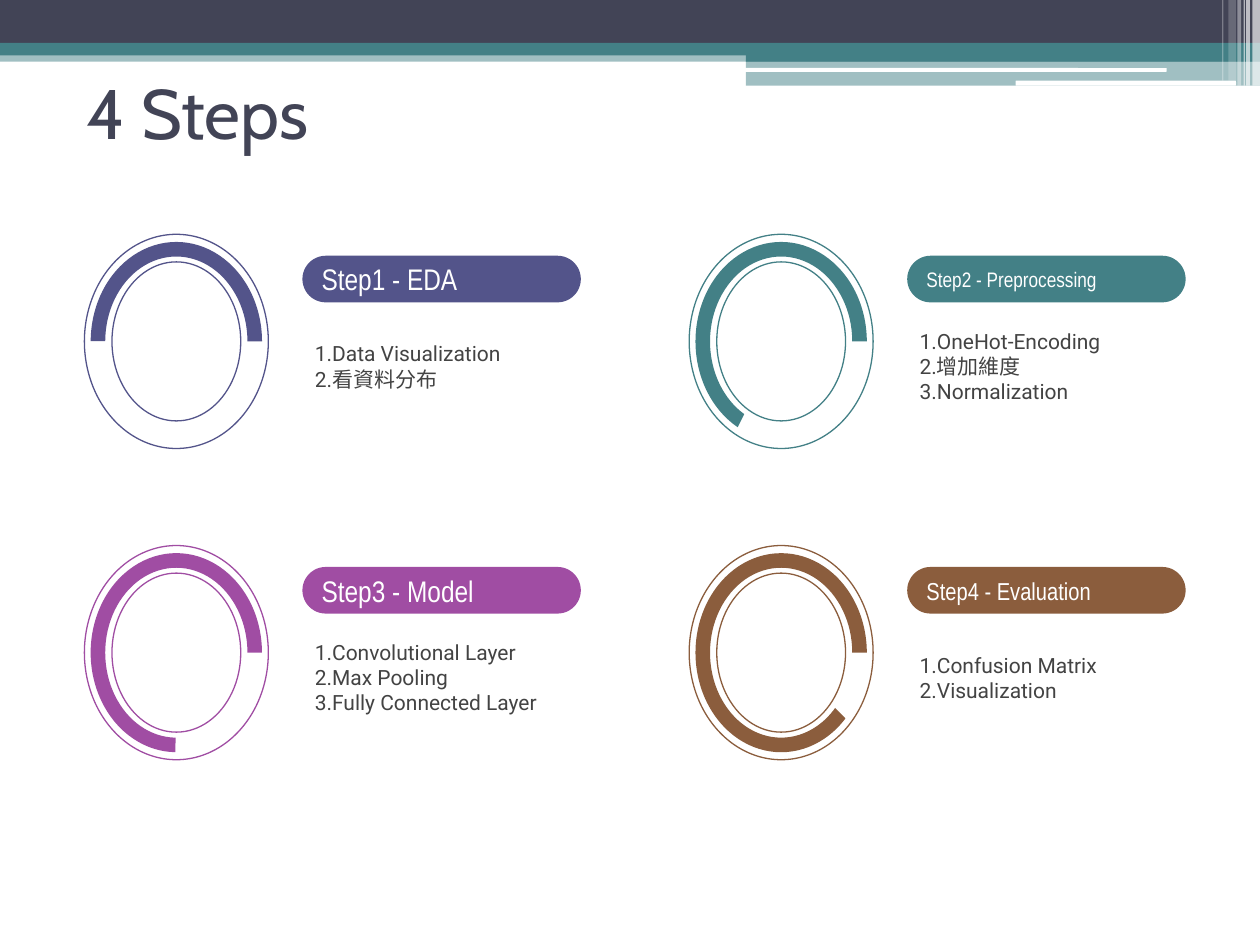
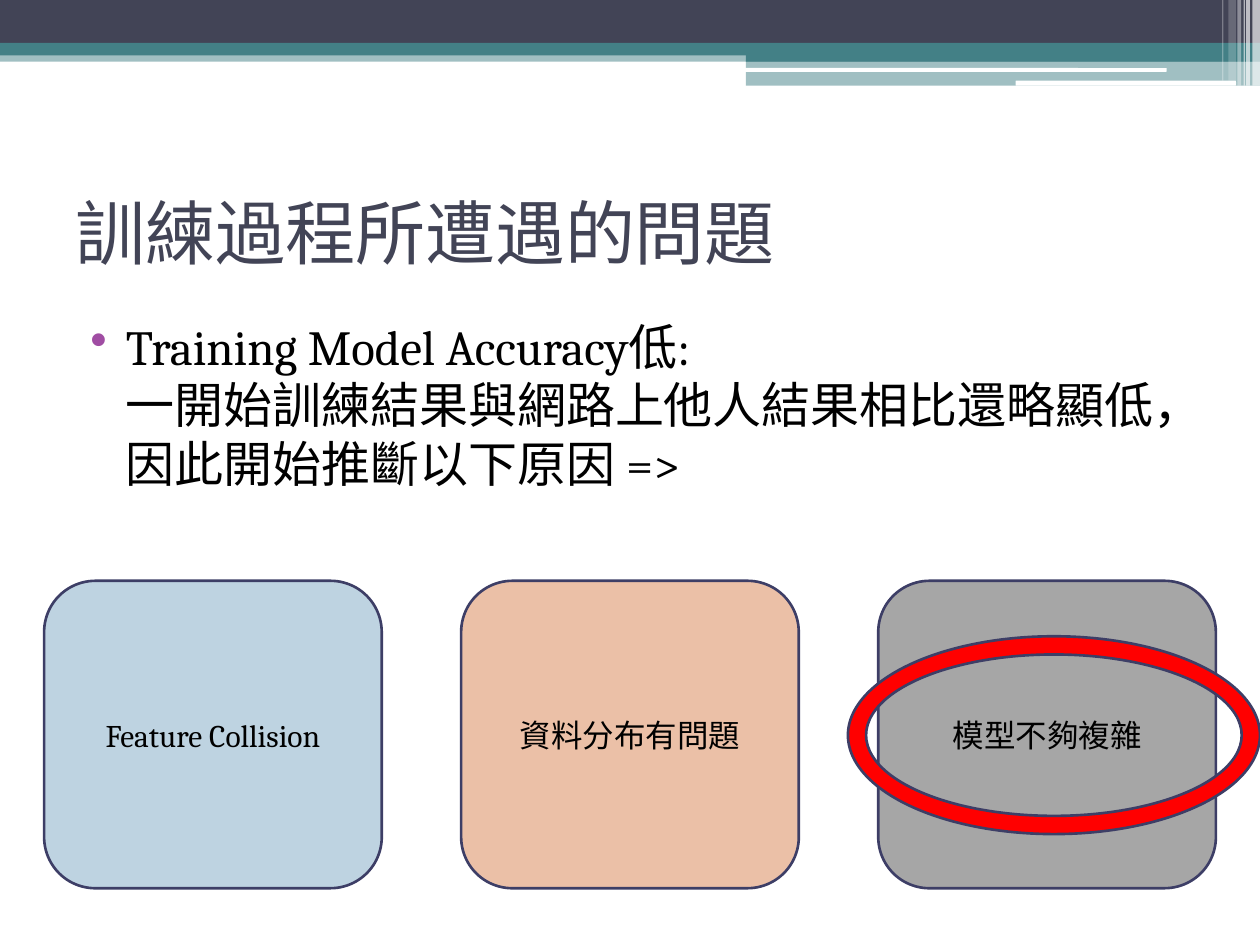
from pptx import Presentation
from pptx.dml.color import RGBColor
from pptx.enum.shapes import MSO_SHAPE
from pptx.enum.text import MSO_ANCHOR, PP_ALIGN
from pptx.oxml import parse_xml
from pptx.oxml.ns import nsdecls, qn
from pptx.util import Inches, Pt
from lxml.etree import SubElement

SLATE, TEAL, WHITE = "424456", "438086", "FFFFFF"
INDIGO, PURPLE, BROWN = "53548A", "A04DA3", "8B5D3D"
OUTLINE, BODY_GREY, BLACK, RED = "3D3E66", "434343", "000000", "FF0000"

HEADER_BANDS = [
    (0, 0.4, 10, 0.09, TEAL, 50),
    (0, 0, 10, 0.34, SLATE, 100),
    (0, 0.34, 10, 0.1, TEAL, 100),
    (5.92, 0.39, 4.08, 0.1, TEAL, 100),
    (5.92, 0.48, 4.08, 0.2, TEAL, 50),
]
HEADER_SLOTS = [(5.91, 0.54, 3.35, 0.03), (8.06, 0.64, 1.75, 0.04)]
HEADER_STRIPES = [
    (9.94, 0.06, 0.68, 65),
    (9.89, 0.03, 0.68, 65),
    (9.87, 0.01, 0.68, 60),
    (9.82, 0.03, 0.68, 40),
    (9.75, 0.06, 0.64, 20),
    (9.7, 0.01, 0.64, 30),
]

STEPS = [
    ("Step1 - EDA", 17, INDIGO, 180.21, ["1.Data Visualization", "2.看資料分布"]),
    ("Step2 - Preprocessing", 12, TEAL, 116.9,
     ["1.OneHot-Encoding", "2.增加維度", "3.Normalization"]),
    ("Step3 - Model", 17, PURPLE, 90.52,
     ["1.Convolutional Layer", "2.Max Pooling", "3.Fully Connected Layer"]),
    ("Step4 - Evaluation", 14, BROWN, 45.65, ["1.Confusion Matrix", "2.Visualization"]),
]
CAUSES = [("Feature Collision", "BED3E1"), ("資料分布有問題", "EBC0A7"), ("模型不夠複雜", "A6A6A6")]
ARC_UNITS_PER_DEGREE = 0.6


def color(hex_value):
    return RGBColor.from_string(hex_value)


class Deck:
    def __init__(self):
        self.presentation = Presentation()
        self.presentation.slide_width = Inches(10)
        self.presentation.slide_height = Inches(7.5)
        self.slide = None

    def start_slide(self, title, left, top, width, height):
        self.slide = self.presentation.slides.add_slide(self.presentation.slide_layouts[5])
        heading = self.slide.shapes.title
        heading.left, heading.top = Inches(left), Inches(top)
        heading.width, heading.height = Inches(width), Inches(height)
        self.set_text(heading, [title], 40, "Cabin", SLATE)
        self.header()

    def header(self):
        for left, top, width, height, fill, opacity in HEADER_BANDS:
            self.shape(MSO_SHAPE.RECTANGLE, left, top, width, height, fill, opacity=opacity)
        for slot in HEADER_SLOTS:
            self.shape(MSO_SHAPE.ROUNDED_RECTANGLE, *slot, WHITE)
        for left, width, height, opacity in HEADER_STRIPES:
            self.shape(MSO_SHAPE.RECTANGLE, left, 0, width, height, WHITE, opacity=opacity)

    def shape(self, kind, left, top, width, height, fill=None, line=None,
              line_width=1.5, opacity=100, adjust=()):
        item = self.slide.shapes.add_shape(
            kind, Inches(left), Inches(top), Inches(width), Inches(height))
        item.shadow.inherit = False
        for index, value in enumerate(adjust):
            item.adjustments[index] = value
        if fill:
            item.fill.solid()
            item.fill.fore_color.rgb = color(fill)
        else:
            item.fill.background()
        if opacity < 100:
            fill_color = item._element.spPr.find(qn("a:solidFill"))[0]
            SubElement(fill_color, qn("a:alpha")).set("val", str(opacity * 1000))
        if line:
            item.line.color.rgb = color(line)
            item.line.width = Pt(line_width)
        else:
            item.line.fill.background()
        return item

    def text(self, left, top, width, height, lines, size, font, hex_value,
             anchor=MSO_ANCHOR.MIDDLE, inset=0.1):
        box = self.slide.shapes.add_textbox(
            Inches(left), Inches(top), Inches(width), Inches(height))
        self.set_text(box, lines, size, font, hex_value, anchor=anchor, inset=inset)
        return box

    def set_text(self, target, lines, size, font, hex_value, align=PP_ALIGN.LEFT,
                 anchor=MSO_ANCHOR.MIDDLE, inset=0.05):
        frame = target.text_frame
        frame.text = "\n".join(lines)
        frame.word_wrap = True
        frame.vertical_anchor = anchor
        frame.margin_top = frame.margin_bottom = Inches(inset)
        for paragraph in frame.paragraphs:
            paragraph.alignment = align
            for run in paragraph.runs:
                run.font.size = Pt(size)
                run.font.name = font
                run.font.color.rgb = color(hex_value)

    def bullet(self, paragraph, hex_value):
        paragraph.space_before = Pt(3)
        properties = paragraph._p.get_or_add_pPr()
        properties.set("marL", str(Inches(0.4)))
        properties.set("indent", str(Inches(-0.28)))
        namespace = nsdecls("a")
        properties.append(parse_xml(
            f'<a:buClr {namespace}><a:srgbClr val="{hex_value}"/></a:buClr>'))
        properties.append(parse_xml(f'<a:buChar {namespace} char="•"/>'))

    def step(self, left, top, label, label_size, hue, arc_start, details):
        self.shape(MSO_SHAPE.DONUT, left, top, 1.46, 1.7, line=hue, line_width=0.75,
                   adjust=[0.15])
        self.shape(MSO_SHAPE.BLOCK_ARC, left + 0.05, top + 0.06, 1.36, 1.58, hue,
                   adjust=[arc_start * ARC_UNITS_PER_DEGREE, 215.99, 0.085])
        self.text(left + 1.73, top + 0.57, 2.21, 0.95, details, 12, "Roboto", BODY_GREY)
        pill = self.shape(MSO_SHAPE.ROUNDED_RECTANGLE, left + 1.73, top + 0.17, 2.21, 0.37,
                          hue, adjust=[0.5])
        self.set_text(pill, [label], label_size, "Arial Narrow", WHITE, inset=0.1)

    def cause(self, left, top, label, fill):
        card = self.shape(MSO_SHAPE.ROUNDED_RECTANGLE, left, top, 2.68, 2.44, fill, OUTLINE)
        self.set_text(card, [label], 18, "Cambria", BLACK, PP_ALIGN.CENTER)


def build_steps(deck):
    deck.start_slide("4 Steps", 0.59, 0.26, 9, 1.25)
    for index, step in enumerate(STEPS):
        row, column = divmod(index, 2)
        deck.step(0.67 + 4.8 * column, 1.86 + 2.47 * row, *step)


def build_problems(deck):
    deck.start_slide("訓練過程所遭遇的問題", 0.5, 1.25, 9, 1.17)
    finding = deck.text(
        0.5, 2.46, 9, 4.73,
        ["Training Model Accuracy低:\v一開始訓練結果與網路上他人結果相比還略顯低，因此開始推斷以下原因 =>"],
        28, "Cambria", BLACK, MSO_ANCHOR.TOP, 0.05)
    deck.bullet(finding.text_frame.paragraphs[0], PURPLE)
    for index, (label, fill) in enumerate(CAUSES):
        deck.cause(0.35 + 3.31 * index, 4.61, label, fill)
    deck.shape(MSO_SHAPE.DONUT, 6.73, 5.05, 3.27, 1.57, RED, OUTLINE, adjust=[0.092])


def main():
    deck = Deck()
    build_steps(deck)
    build_problems(deck)
    deck.presentation.save("out.pptx")


if __name__ == "__main__":
    main()
